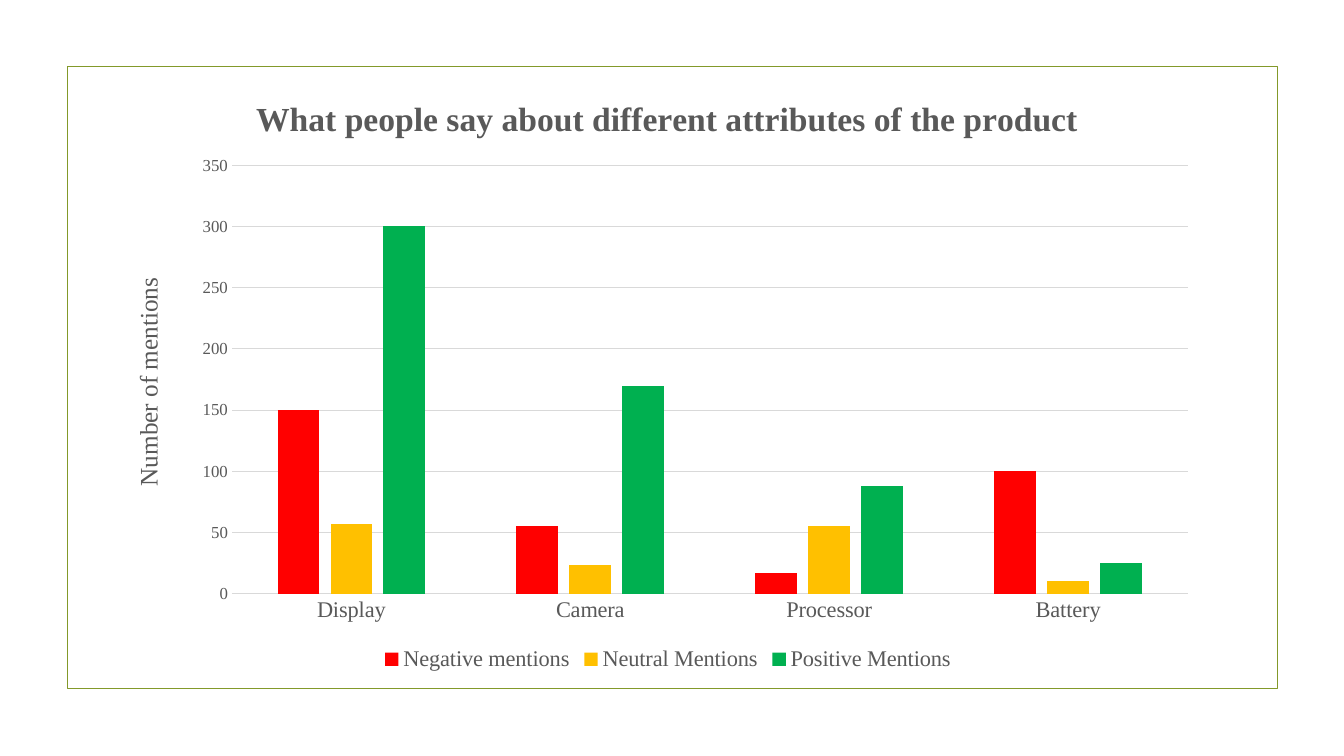
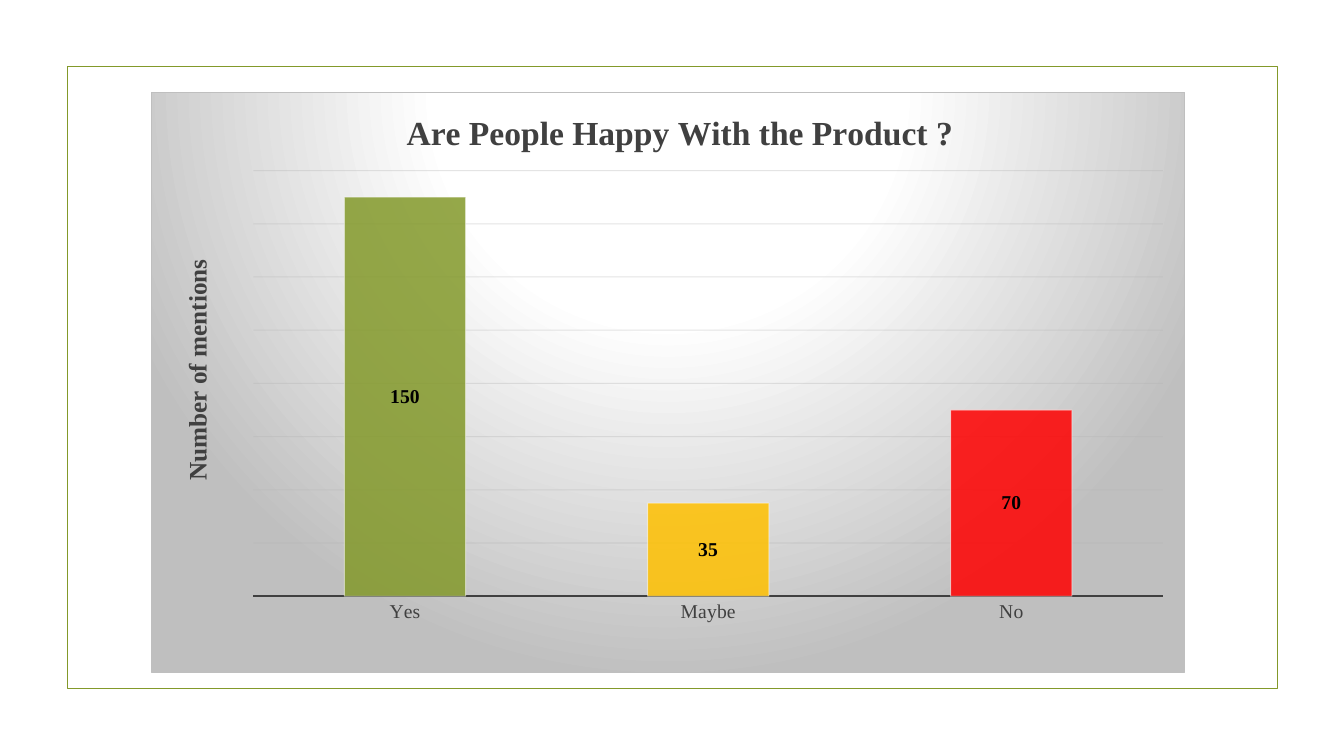
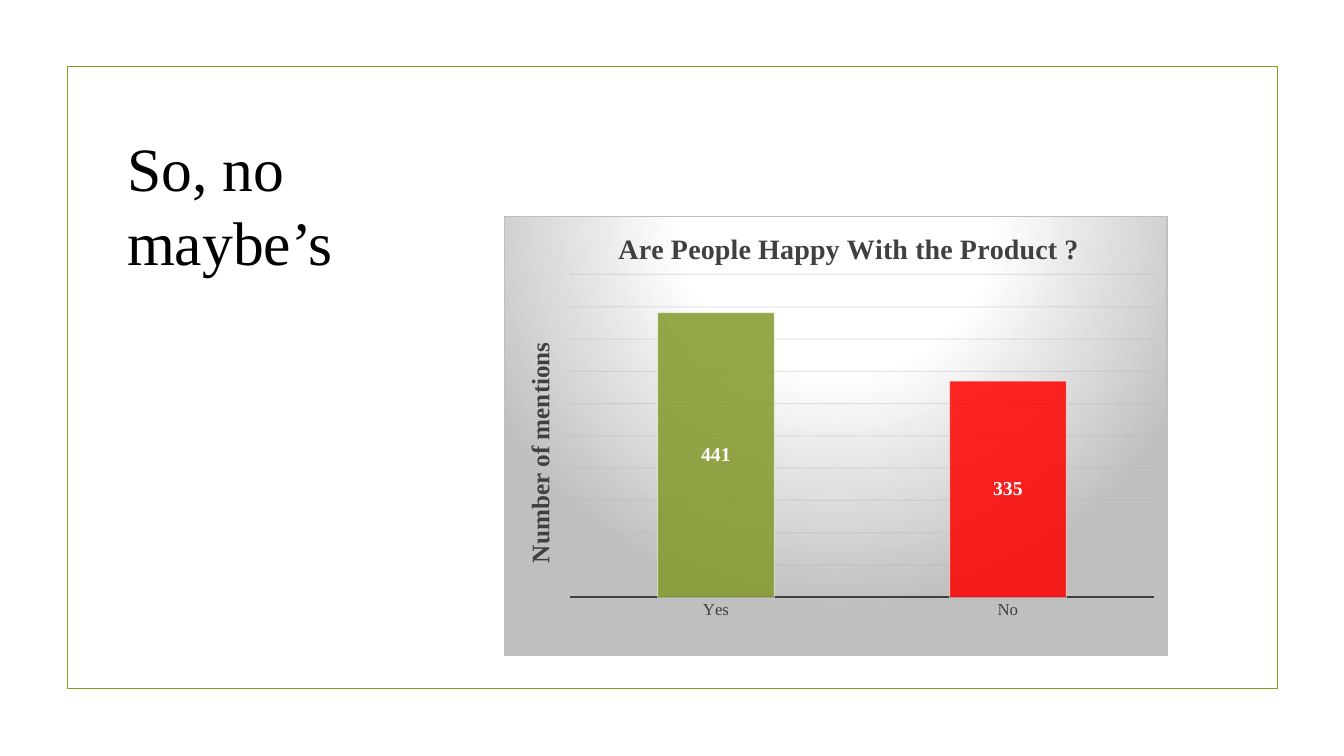
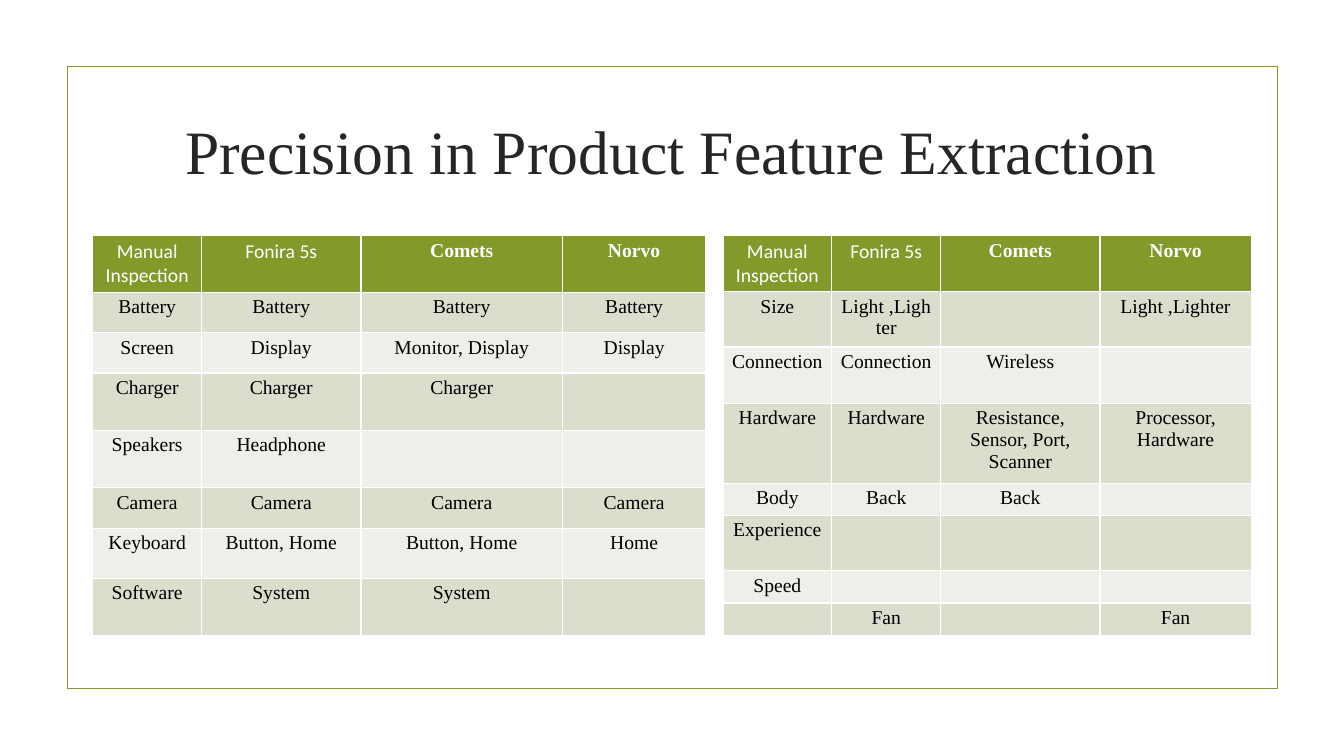
from lxml import etree
from pptx import Presentation
from pptx.chart.data import CategoryChartData
from pptx.dml.color import RGBColor
from pptx.enum.chart import XL_CHART_TYPE, XL_LABEL_POSITION, XL_LEGEND_POSITION, XL_TICK_MARK
from pptx.enum.shapes import MSO_SHAPE
from pptx.enum.text import MSO_ANCHOR, PP_ALIGN
from pptx.oxml import parse_xml
from pptx.oxml.ns import nsdecls, qn
from pptx.util import Inches, Pt

CLUSTERED, STACKED = XL_CHART_TYPE.COLUMN_CLUSTERED, XL_CHART_TYPE.COLUMN_STACKED
LABEL_CENTER, LEGEND_BOTTOM = XL_LABEL_POSITION.CENTER, XL_LEGEND_POSITION.BOTTOM
NO_TICK, RECTANGLE = XL_TICK_MARK.NONE, MSO_SHAPE.RECTANGLE
TOP, LEFT, CENTER = MSO_ANCHOR.TOP, PP_ALIGN.LEFT, PP_ALIGN.CENTER
TITLE_ONLY, BLANK = 5, 6

SERIF, SANS = "Times New Roman", "Calibri"
OLIVE, RED, AMBER, GREEN = "83992A", "FF0000", "FFC000", "00B050"
WHITE, BLACK, INK, GRAY = "FFFFFF", "000000", "404040", "595959"
PALE, SILVER, GRID = "D9D9D9", "BFBFBF", "B4B4B4"
BANDS = ["D9DECD", "EDEFE8"]

# Boxes and positions are in inches on the slide.
AXIS_TITLE = "Number of mentions"
ATTRIBUTES = {
    "box": (1.25, 0.79, 10.75, 5.92), "plot": (2.3, 1.64, 9.48, 4.25),
    "title": "What people say about different attributes of the product",
    "title_size": 24, "title_at": (2.48, 0.9), "axis_title_at": (1.27, 2.71),
    "categories": ["Display", "Camera", "Processor", "Battery"],
    "series": [
        ("Negative mentions", [150, 55, 17, 100], RED),
        ("Neutral Mentions", [57, 23, 55, 10], AMBER),
        ("Positive Mentions", [300, 170, 88, 25], GREEN),
    ],
    "axis_max": 350, "axis_step": 50, "category_size": 16,
}
HAPPY_TITLE = "Are People Happy With the Product ?"
HAPPY = {
    "box": (1.5, 0.91, 10.25, 5.77), "plot": (2.51, 1.69, 9.03, 4.23),
    "title": HAPPY_TITLE,
    "title_size": 24, "title_at": (3.97, 1.04), "axis_title_at": (1.75, 2.53),
    "answers": [("Yes", 150, OLIVE), ("Maybe", 35, AMBER), ("No", 70, RED)],
    "axis_max": 160, "axis_step": 20, "category_size": 14, "label_color": BLACK,
}
HAPPY_NO_MAYBE = {
    "box": (5, 2.14, 6.58, 4.37), "plot": (5.65, 2.72, 5.8, 3.21),
    "title": HAPPY_TITLE,
    "title_size": 20, "title_at": (6.08, 2.24), "axis_title_at": (5.15, 3.35),
    "answers": [("Yes", 441, OLIVE), ("No", 335, RED)],
    "axis_max": 500, "axis_step": 50, "category_size": 12, "label_color": WHITE,
}
FEATURE_HEADER = ["Manual Inspection", "Fonira 5s", "Comets", "Norvo"]
FEATURE_TABLES = [
    {
        "left": 0.92,
        "widths": [1.08, 1.58, 2, 1.42],
        "heights": [0.56, 0.4, 0.4, 0.57, 0.57, 0.4, 0.5, 0.57],
        "rows": [
            ["Battery", "Battery", "Battery", "Battery"],
            ["Screen", "Display", "Monitor, Display", "Display"],
            ["Charger", "Charger", "Charger", ""],
            ["Speakers", "Headphone", "", ""],
            ["Camera", "Camera", "Camera", "Camera"],
            ["Keyboard", "Button, Home", "Button, Home", "Home"],
            ["Software", "System", "System", ""],
        ],
    },
    {
        "left": 7.17,
        "widths": [1.08, 1.08, 1.58, 1.5],
        "heights": [0.55, 0.55, 0.56, 0.79, 0.32, 0.55, 0.32, 0.32],
        "rows": [
            ["Size", "Light ,Lighter", "", "Light ,Lighter"],
            ["Connection", "Connection", "Wireless", ""],
            ["Hardware", "Hardware", "Resistance, Sensor, Port, Scanner", "Processor, Hardware"],
            ["Body", "Back", "Back", ""],
            ["Experience", "", "", ""],
            ["Speed", "", "", ""],
            ["", "Fan", "", "Fan"],
        ],
    },
]


def rgb(color):
    return RGBColor.from_string(color)


def style_font(font, size, color, bold=False, name=SERIF):
    font.size, font.bold, font.name = Pt(size), bold, name
    font.color.rgb = rgb(color)


def style_line(line, color, width):
    line.color.rgb = rgb(color)
    line.width = Pt(width)


def write(frame, text, size, color, bold=False, name=SERIF, align=CENTER):
    paragraph = frame.paragraphs[0]
    paragraph.alignment = align
    if text:
        run = paragraph.add_run()
        run.text = text
        style_font(run.font, size, color, bold, name)
    else:
        etree.SubElement(paragraph._p, qn("a:endParaRPr"), sz=str(size * 100))


def set_alpha(element, percent):
    """Make every solid colour below the element partly transparent."""
    for color in element.iter(qn("a:srgbClr")):
        etree.SubElement(color, qn("a:alpha"), val=str(percent * 1000))


def add_frame_to_master(prs, slide):
    frame = slide.shapes.add_shape(RECTANGLE, *map(Inches, (0.67, 0.66, 12, 6.17)))
    frame.shadow.inherit = False
    frame.fill.background()
    style_line(frame.line, OLIVE, 1.25)
    prs.slide_master.shapes.element.append(frame.element)


def add_title(slide, text, box, color, align):
    title = slide.shapes.title
    title.left, title.top, title.width, title.height = map(Inches, box)
    title.text_frame.vertical_anchor = TOP
    write(title.text_frame, text, 44, color, align=align)


def place(part, chart_box, x, y, size=None):
    """Give a chart part a manual layout from its place on the slide."""
    left, top, width, height = chart_box
    layout = part.find(qn("c:layout"))
    if layout is None:
        layout = parse_xml(f"<c:layout {nsdecls('c')}/>")
        text = part.find(qn("c:tx"))
        part.insert(0 if text is None else part.index(text) + 1, layout)
    settings = {"xMode": "edge", "yMode": "edge",
                "x": (x - left) / width, "y": (y - top) / height}
    if size:
        settings = {"layoutTarget": "inner", **settings,
                    "w": size[0] / width, "h": size[1] / height}
    manual = etree.SubElement(layout, qn("c:manualLayout"))
    for key, value in settings.items():
        etree.SubElement(manual, qn(f"c:{key}"), val=str(value))


def add_column_chart(slide, kind, content, categories, series, color, bold_axis):
    """Add a column chart with the text, places and axis style all charts share."""
    box = content["box"]
    data = CategoryChartData(number_format="0")
    data.categories = categories
    for name, values in series:
        data.add_series(name, values)
    chart = slide.shapes.add_chart(kind, *map(Inches, box), data).chart
    style_font(chart.font, 10, BLACK)
    chart.has_title = True
    write(chart.chart_title.text_frame, content["title"], content["title_size"], color, bold=True)
    chart.chart_title.include_in_layout = False
    chart.plots[0].vary_by_categories = False

    value_axis, category_axis = chart.value_axis, chart.category_axis
    value_axis.has_title = True
    write(value_axis.axis_title.text_frame, AXIS_TITLE, 18, color, bold=bold_axis)
    for axis in (value_axis, category_axis):
        axis.major_tick_mark = axis.minor_tick_mark = NO_TICK
    value_axis.minimum_scale, value_axis.maximum_scale = 0, content["axis_max"]
    value_axis.major_unit = content["axis_step"]
    value_axis.has_major_gridlines = True
    style_font(category_axis.tick_labels.font, content["category_size"], color)

    place(chart.chart_title._element, box, *content["title_at"])
    place(value_axis.axis_title._element, box, *content["axis_title_at"])
    x, y, *size = content["plot"]
    place(chart._chartSpace.chart.plotArea, box, x, y, size)
    return chart


def add_spotlight(chart):
    """Fill the chart area with a radial white to silver gradient."""
    stops = "".join(
        f'<a:gs pos="{position * 1000}"><a:srgbClr val="{color}"/></a:gs>'
        for position, color in [(0, WHITE), (39, WHITE), (100, SILVER)])
    area = parse_xml(
        f"<c:spPr {nsdecls('c', 'a')}><a:gradFill><a:gsLst>{stops}</a:gsLst>"
        '<a:path path="circle"><a:fillToRect l="50000" t="-80000" r="50000" b="180000"/></a:path>'
        f'</a:gradFill><a:ln w="9525"><a:solidFill><a:srgbClr val="{SILVER}"/></a:solidFill></a:ln></c:spPr>')
    chart._chartSpace.chart.addnext(area)


def add_attribute_chart(slide):
    chart = add_column_chart(
        slide, CLUSTERED, ATTRIBUTES, ATTRIBUTES["categories"],
        [entry[:2] for entry in ATTRIBUTES["series"]], GRAY, False)
    plot = chart.plots[0]
    plot.gap_width, plot.overlap = 219, -27
    for series, (_, _, color) in zip(plot.series, ATTRIBUTES["series"]):
        series.format.fill.solid()
        series.format.fill.fore_color.rgb = rgb(color)
    value_axis = chart.value_axis
    style_font(value_axis.tick_labels.font, 12, GRAY)
    value_axis.format.line.fill.background()
    style_line(value_axis.major_gridlines.format.line, PALE, 0.75)
    style_line(chart.category_axis.format.line, PALE, 0.75)
    chart.has_legend = True
    chart.legend.position = LEGEND_BOTTOM
    chart.legend.include_in_layout = False
    style_font(chart.legend.font, 16, GRAY)


def add_happiness_chart(slide, survey):
    categories, values, colors = zip(*survey["answers"])
    chart = add_column_chart(
        slide, STACKED, survey, categories, [("Series 1", values)], INK, True)
    add_spotlight(chart)
    value_axis = chart.value_axis
    value_axis.visible = False
    style_line(value_axis.major_gridlines.format.line, GRID, 0.75)
    set_alpha(value_axis._element.find(qn("c:majorGridlines")), 35)
    style_line(chart.category_axis.format.line, INK, 1.5)
    plot = chart.plots[0]
    plot.gap_width, plot.overlap = 150, 100
    series = plot.series[0]
    for index, color in enumerate(colors):
        bar = series.points[index].format
        bar.fill.solid()
        bar.fill.fore_color.rgb = rgb(color)
        properties = series._element.findall(qn("c:dPt"))[index].find(qn("c:spPr"))
        set_alpha(properties, 85)
        style_line(bar.line, WHITE, 0.75)
        set_alpha(properties.find(qn("a:ln")), 50)
    labels = series.data_labels
    labels.show_value = True
    labels.position = LABEL_CENTER
    style_font(labels.font, 14, survey["label_color"], bold=True)


def add_feature_table(slide, features):
    widths, heights = features["widths"], features["heights"]
    box = (features["left"], 2.34, sum(widths), sum(heights))
    table = slide.shapes.add_table(len(heights), len(widths), *map(Inches, box)).table
    for column, width in zip(table.columns, widths):
        column.width = Inches(width)
    for row, height in zip(table.rows, heights):
        row.height = Inches(height)
    for r, texts in enumerate([FEATURE_HEADER] + features["rows"]):
        for c, text in enumerate(texts):
            cell = table.cell(r, c)
            cell.margin_left = cell.margin_right = Inches(0.09)
            cell.margin_top = cell.margin_bottom = Inches(0.04)
            cell.fill.solid()
            cell.fill.fore_color.rgb = rgb(BANDS[(r - 1) % 2] if r else OLIVE)
            sans = r == 0 and c < 2
            write(cell.text_frame, text, 14, BLACK if r else WHITE,
                  bold=r == 0 and not sans, name=SANS if sans else SERIF)


def main():
    prs = Presentation()
    prs.slide_width, prs.slide_height = Inches(13.33), Inches(7.5)
    attributes, happy, no_maybe, precision = [
        prs.slides.add_slide(prs.slide_layouts[layout])
        for layout in (BLANK, BLANK, TITLE_ONLY, TITLE_ONLY)]
    add_frame_to_master(prs, attributes)

    add_attribute_chart(attributes)
    add_happiness_chart(happy, HAPPY)

    add_title(no_maybe, "So, no maybe’s", (1.16, 1.24, 3.83, 1.6), BLACK, LEFT)
    add_happiness_chart(no_maybe, HAPPY_NO_MAYBE)

    add_title(precision, "Precision in Product Feature Extraction",
              (1.41, 1.07, 10.5, 1.26), "262626", CENTER)
    for features in FEATURE_TABLES:
        add_feature_table(precision, features)

    prs.save("out.pptx")


if __name__ == "__main__":
    main()
